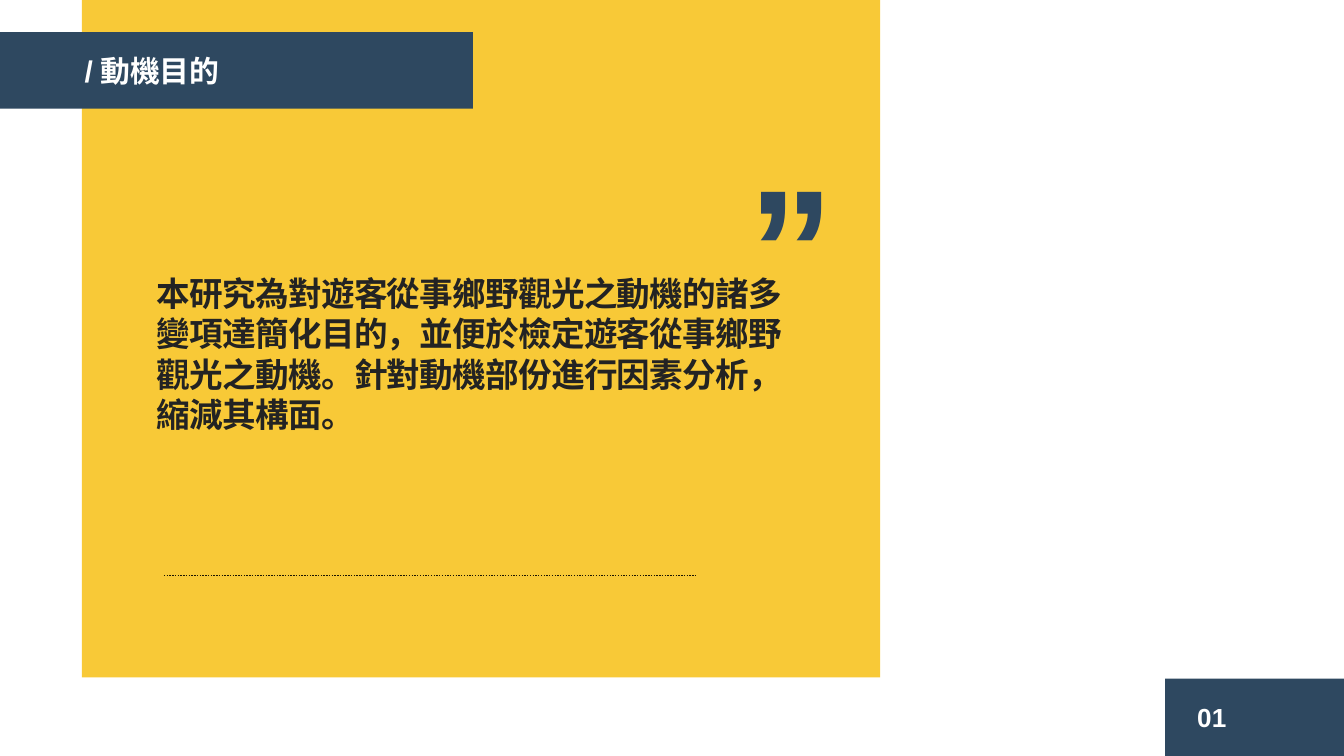
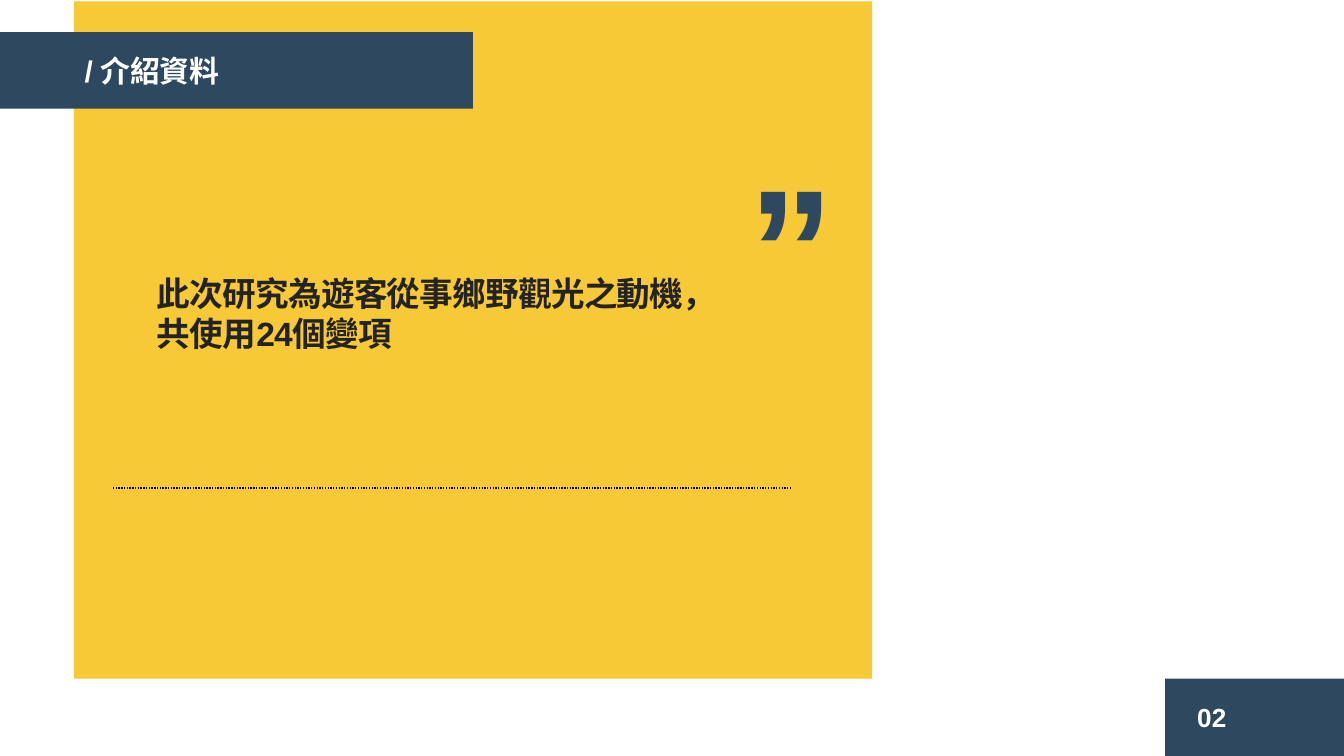
from pptx import Presentation
from pptx.dml.color import RGBColor
from pptx.enum.dml import MSO_LINE
from pptx.enum.shapes import MSO_CONNECTOR, MSO_SHAPE
from pptx.enum.text import MSO_AUTO_SIZE
from pptx.oxml.ns import qn
from pptx.util import Pt
from lxml.etree import SubElement

FONT = "Arial"
NAVY, YELLOW, INK, WHITE = "2E4860", "F8C937", "232323", "FFFFFF"

# Places are left, top, width, height in points; rules are left, right, y.
TITLE_BAND = (0, 17.3, 253.4, 41)
TITLE_TEXT = (38.2, 24.5, 260.6, 46)
NUMBER_BLOCK = (624.2, 363.6, 95.8, 42.5)
NUMBER_TEXT = (634.3, 372.2, 36, 24.5)
QUOTE_MARK = (393.8, 70.6, 28.8, 118.8)
PANEL_SIZE = (427.7, 362.9)
BODY_START = (77, 142.6)

PAGES = [
    {
        "title": "/ 動機目的",
        "body": "本研究為對遊客從事鄉野觀光之動機的諸多變項達簡化目的，"
                "並便於檢定遊客從事鄉野觀光之動機。"
                "針對動機部份進行因素分析，縮減其構面。",
        "body_size": (352.8, 94.3),
        "panel_start": (43.9, 0),
        "rule": (87.8, 373.7, 308.2),
        "rule_color": "1A1401",
    },
    {
        "title": "/ 介紹資料",
        "body": "此次研究為遊客從事鄉野觀光之動機，共使用24個變項",
        "body_size": (311, 51.1),
        "panel_start": (39.6, 0.7),
        "rule": (60.5, 423.4, 261.4),
        "rule_color": "000000",
    },
]


def color(value):
    return RGBColor.from_string(value)


def points(values):
    return [Pt(value) for value in values]


def add_block(page, place, fill):
    block = page.shapes.add_shape(MSO_SHAPE.RECTANGLE, *points(place))
    block.shadow.inherit = False
    block.fill.solid()
    block.fill.fore_color.rgb = color(fill)
    block.line.fill.background()


def add_text(page, place, text, size, ink=WHITE, spacing=0):
    """Add bold text; spacing between letters is in points."""
    box = page.shapes.add_textbox(*points(place))
    frame = box.text_frame
    frame.word_wrap = True
    frame.auto_size = MSO_AUTO_SIZE.SHAPE_TO_FIT_TEXT
    span = frame.paragraphs[0].add_run()
    span.text = text
    font = span.font
    font.name, font.size, font.bold = FONT, Pt(size), True
    font.color.rgb = color(ink)
    if spacing:
        span._r.get_or_add_rPr().set("spc", str(round(spacing * 100)))


def add_dotted_rule(page, left, right, y, ink):
    rule = page.shapes.add_connector(
        MSO_CONNECTOR.STRAIGHT, *points((left, y, right, y)))
    rule.line.color.rgb = color(ink)
    rule.line.width = Pt(0.75)
    rule.line.dash_style = MSO_LINE.ROUND_DOT  # written as sysDot
    SubElement(rule._element.spPr, qn("a:effectLst"))


def add_page(deck, number, content):
    page = deck.slides.add_slide(deck.slide_layouts[6])
    add_block(page, content["panel_start"] + PANEL_SIZE, YELLOW)
    add_dotted_rule(page, *content["rule"], content["rule_color"])
    add_block(page, NUMBER_BLOCK, NAVY)
    add_text(page, NUMBER_TEXT, f"{number:02}", 14)
    add_block(page, TITLE_BAND, NAVY)
    add_text(page, TITLE_TEXT, content["title"], 16, spacing=-0.1)
    add_text(page, BODY_START + content["body_size"], content["body"], 18,
             ink=INK, spacing=-0.4)
    add_text(page, QUOTE_MARK, "”", 92, ink=NAVY)


def main():
    deck = Presentation()
    deck.slide_width, deck.slide_height = Pt(720), Pt(405)
    for number, content in enumerate(PAGES, start=1):
        add_page(deck, number, content)
    deck.save("out.pptx")


if __name__ == "__main__":
    main()
